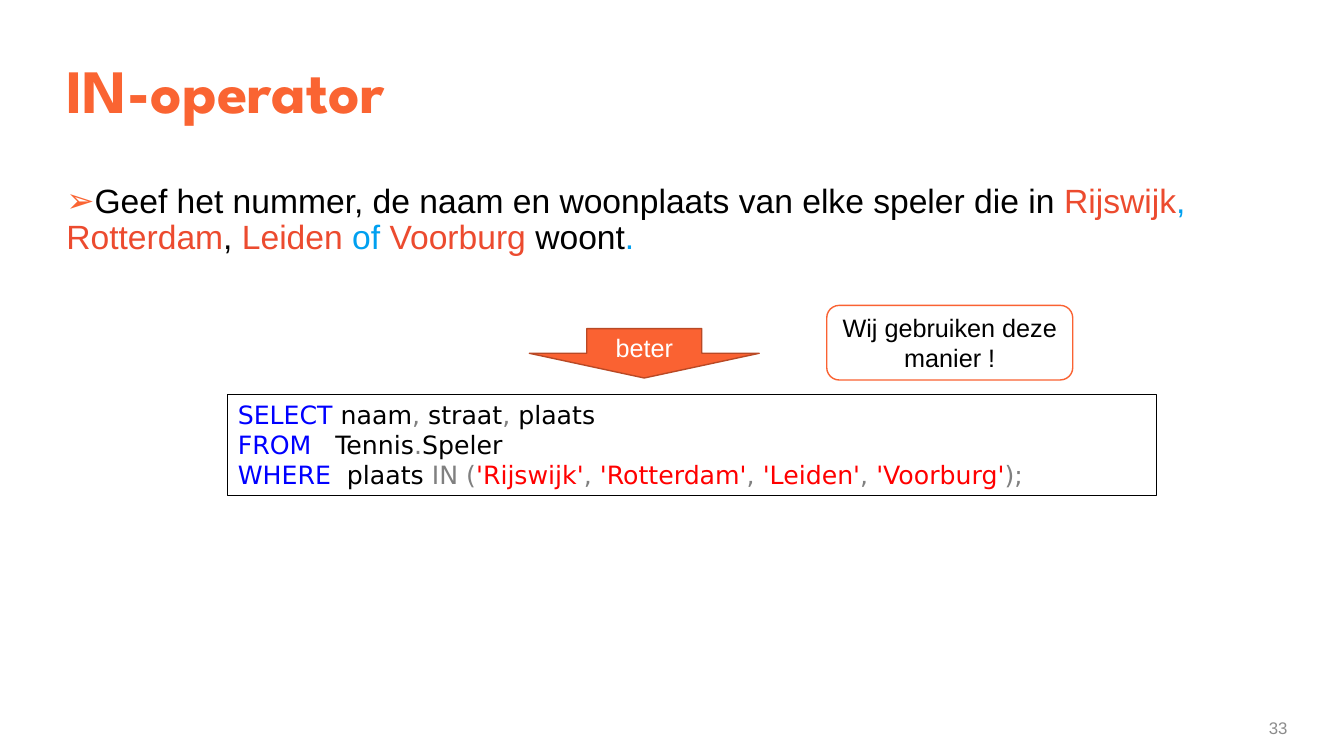
from lxml import etree
from pptx import Presentation
from pptx.dml.color import RGBColor
from pptx.enum.shapes import MSO_SHAPE
from pptx.enum.text import MSO_ANCHOR, PP_ALIGN
from pptx.oxml.ns import qn
from pptx.util import Inches, Pt

TOP, MIDDLE = MSO_ANCHOR.TOP, MSO_ANCHOR.MIDDLE
LEFT, CENTER, RIGHT = PP_ALIGN.LEFT, PP_ALIGN.CENTER, PP_ALIGN.RIGHT
RECTANGLE = MSO_SHAPE.RECTANGLE
DOWN_ARROW = MSO_SHAPE.DOWN_ARROW
ROUNDED = MSO_SHAPE.ROUNDED_RECTANGLE

BLACK = RGBColor(0x00, 0x00, 0x00)
WHITE = RGBColor(0xFF, 0xFF, 0xFF)
TITLE_ORANGE = RGBColor(0xFA, 0x64, 0x32)
ORANGE = RGBColor(0xFA, 0x62, 0x32)
DARK_ORANGE = RGBColor(0xB9, 0x49, 0x25)
CITY_RED = RGBColor(0xEC, 0x4B, 0x2F)
LINK_BLUE = RGBColor(0x00, 0xA0, 0xF0)
KEYWORD = RGBColor(0x00, 0x00, 0xFF)
OPERATOR = RGBColor(0x80, 0x80, 0x80)
STRING = RGBColor(0xFF, 0x00, 0x00)
PAGE_GRAY = RGBColor(0x8C, 0x8C, 0x8C)

# Each text is a list of paragraphs, each paragraph a list of (words, colour).
TITLE = [[("IN-operator", TITLE_ORANGE)]]
PAGE_NUMBER = [[("33", PAGE_GRAY)]]
QUESTION = [[
    ("Geef het nummer, de naam en woonplaats van elke speler die in ", BLACK),
    ("Rijswijk", CITY_RED), (", ", LINK_BLUE),
    ("Rotterdam", CITY_RED), (", ", BLACK),
    ("Leiden", CITY_RED), (" of ", LINK_BLUE),
    ("Voorburg ", CITY_RED), ("woont", BLACK), (".", LINK_BLUE),
]]
QUERY = [
    [("SELECT", KEYWORD), (" naam", BLACK), (", ", OPERATOR),
     ("straat", BLACK), (", ", OPERATOR), ("plaats", BLACK)],
    [("FROM   ", KEYWORD), ("Tennis", BLACK), (".", OPERATOR),
     ("Speler", BLACK)],
    [("WHERE", KEYWORD), ("  plaats ", BLACK), ("IN (", OPERATOR),
     ("'Rijswijk'", STRING), (", ", OPERATOR),
     ("'Rotterdam'", STRING), (", ", OPERATOR),
     ("'Leiden'", STRING), (", ", OPERATOR),
     ("'Voorburg'", STRING), (");", OPERATOR)],
]
BETTER = [[("beter", WHITE)]]
ADVICE = [[("Wij gebruiken deze manier !", BLACK)]]


def write(shape, paragraphs, size, font="Arial", align=LEFT, anchor=TOP,
          bold=False, spacing=1.0):
    frame = shape.text_frame
    frame.word_wrap = True
    frame.vertical_anchor = anchor
    for index, pieces in enumerate(paragraphs):
        paragraph = frame.add_paragraph() if index else frame.paragraphs[0]
        paragraph.alignment = align
        paragraph.line_spacing = spacing
        for words, color in pieces:
            run = paragraph.add_run()
            run.text = words
            run.font.size = Pt(size)
            run.font.name = font
            run.font.bold = bold
            run.font.color.rgb = color
    return frame


def add_text(slide, box, paragraphs, size, **style):
    textbox = slide.shapes.add_textbox(*map(Inches, box))
    return write(textbox, paragraphs, size, **style)


def add_panel(slide, kind, box, fill, line, width, paragraphs, **style):
    panel = slide.shapes.add_shape(kind, *map(Inches, box))
    panel.shadow.inherit = False
    if fill is None:
        panel.fill.background()
    else:
        panel.fill.solid()
        panel.fill.fore_color.rgb = fill
    panel.line.color.rgb = line
    panel.line.width = Pt(width)
    write(panel, paragraphs, 18, **style)


def add_bullet(paragraph, char, color):
    properties = paragraph._p.get_or_add_pPr()
    properties.set("marL", "0")
    properties.set("indent", "0")
    bullet_color = etree.SubElement(properties, qn("a:buClr"))
    etree.SubElement(bullet_color, qn("a:srgbClr"), val=str(color))
    etree.SubElement(properties, qn("a:buFont"), typeface="Arial")
    etree.SubElement(properties, qn("a:buChar"), char=char)


def main():
    deck = Presentation()
    deck.slide_width, deck.slide_height = Inches(13.33), Inches(7.5)
    slide = deck.slides.add_slide(deck.slide_layouts[6])

    add_text(slide, (0.56, 0.33, 12.2, 1.22), TITLE, 44,
             font="League Spartan", anchor=MIDDLE, bold=True, spacing=0.85)
    page = add_text(slide, (12.1, 7.07, 0.67, 0.3), PAGE_NUMBER, 12,
                    align=RIGHT, anchor=MIDDLE)
    page.margin_right = 0
    question = add_text(slide, (0.56, 1.78, 12.2, 5.16), QUESTION, 24,
                        spacing=0.9)
    add_bullet(question.paragraphs[0], "➢", TITLE_ORANGE)

    add_panel(slide, RECTANGLE, (2.26, 3.91, 9.21, 1.01), None, BLACK, 0.75,
              QUERY, font="DejaVu Sans")
    add_panel(slide, DOWN_ARROW, (5.25, 3.26, 2.28, 0.49), ORANGE,
              DARK_ORANGE, 1, BETTER, align=CENTER, anchor=MIDDLE)
    add_panel(slide, ROUNDED, (8.2, 3.03, 2.44, 0.74), WHITE, ORANGE, 1,
              ADVICE, align=CENTER, anchor=MIDDLE)

    deck.save("out.pptx")


if __name__ == "__main__":
    main()
